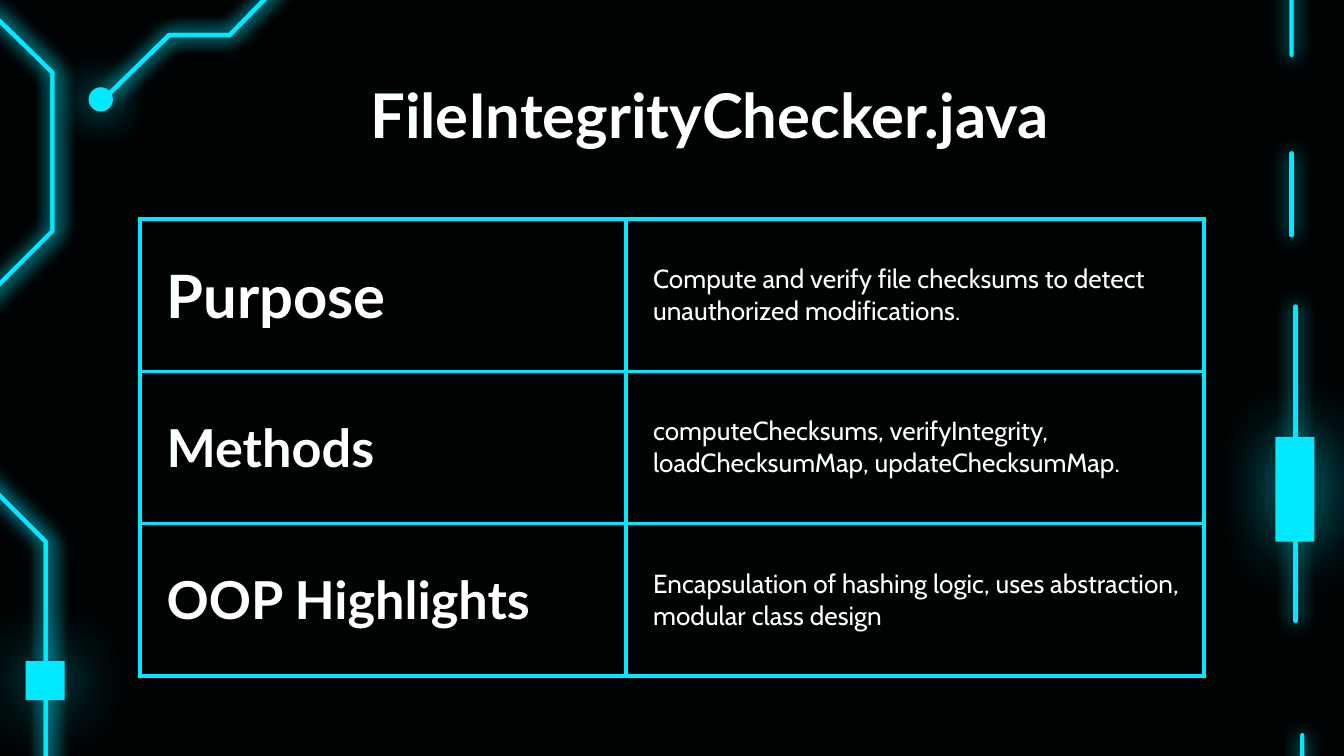
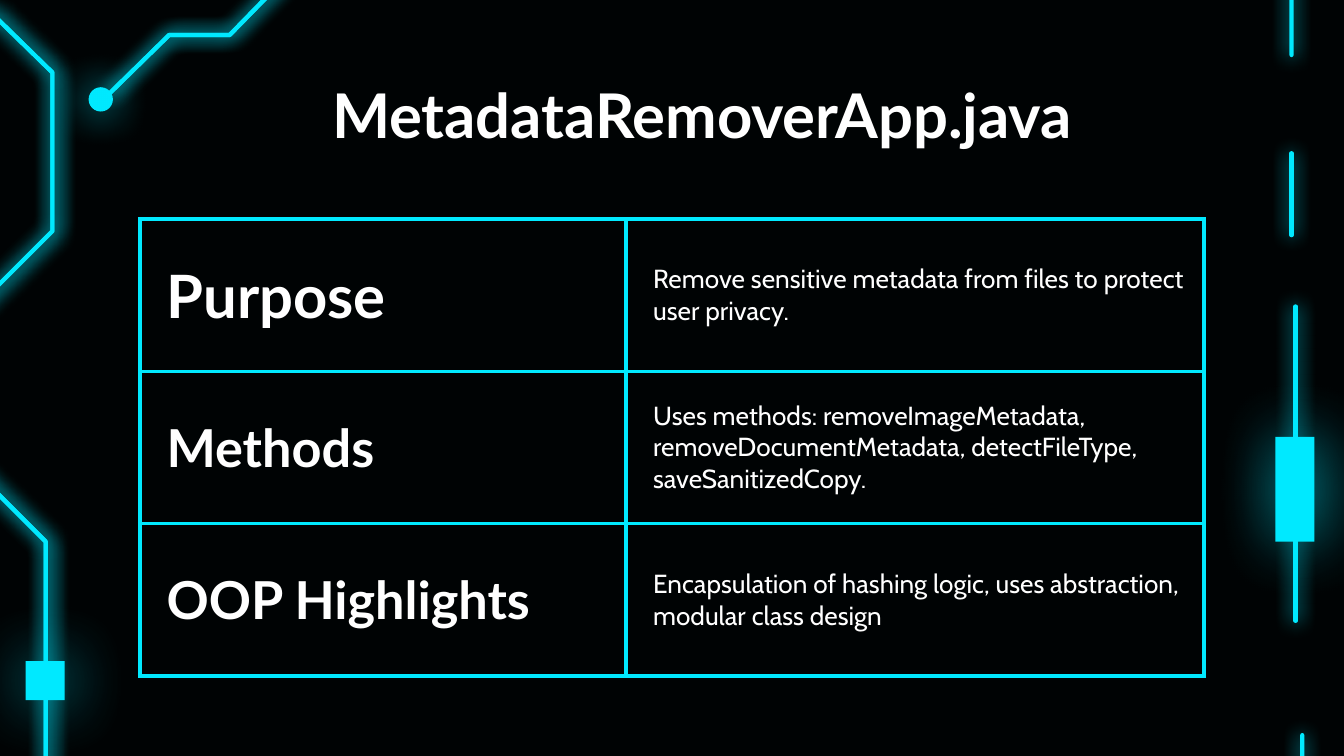
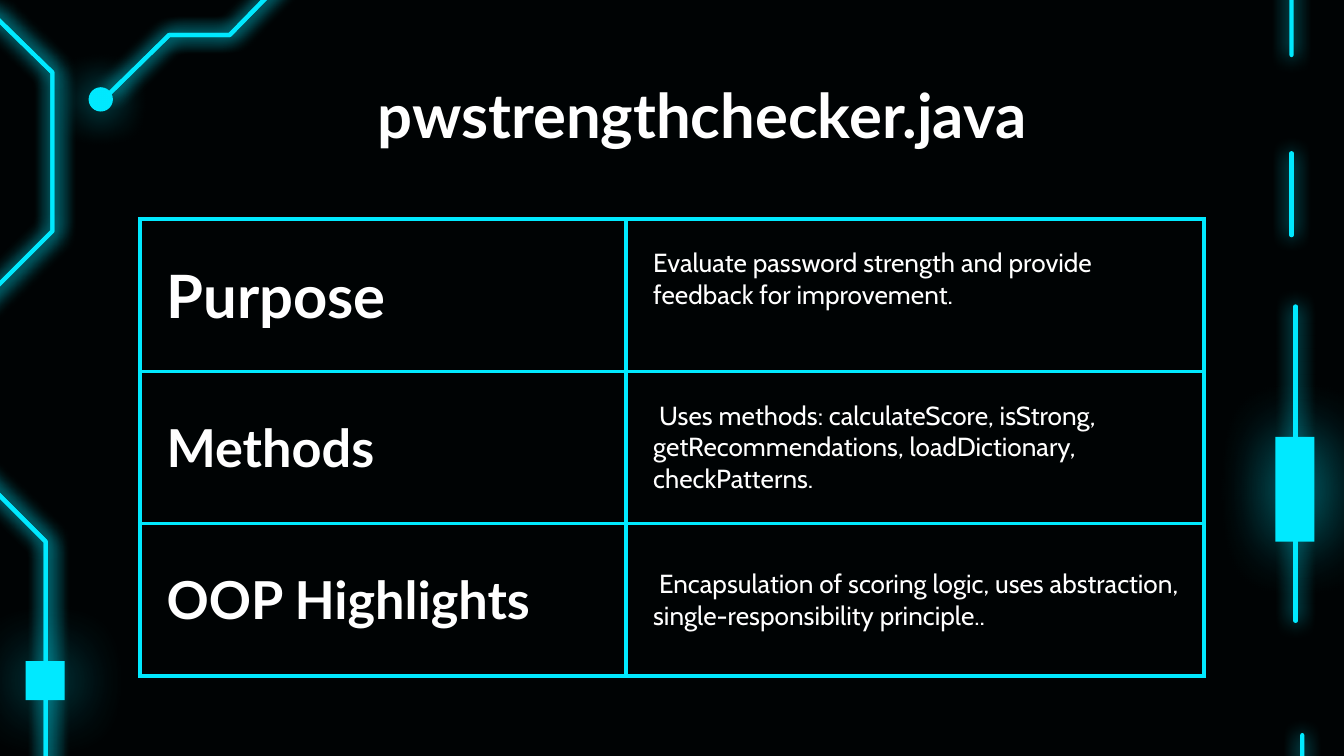
import pptx
import pptx.util
import pptx.dml.color
import pptx.enum.shapes
import pptx.enum.text
import pptx.oxml.ns
import lxml.etree

Inches, Pt = pptx.util.Inches, pptx.util.Pt
SHAPE = pptx.enum.shapes.MSO_SHAPE
MIDDLE = pptx.enum.text.MSO_ANCHOR.MIDDLE

# Colours and fonts
BLACK = pptx.dml.color.RGBColor(0x00, 0x03, 0x04)
CYAN = pptx.dml.color.RGBColor(0x00, 0xE9, 0xFF)
WHITE = pptx.dml.color.RGBColor(0xFF, 0xFF, 0xFF)
HEAD_FONT, BODY_FONT = "Lato", "Cabin"

# Content: row labels with their sizes, then title and descriptions per slide
LABELS = [("Purpose", 32), ("Methods", 28), ("OOP Highlights", 28)]
SLIDES = [
    (" FileIntegrityChecker.java", [
        "Compute and verify file checksums to detect unauthorized modifications.",
        "computeChecksums, verifyIntegrity, loadChecksumMap, updateChecksumMap.",
        "Encapsulation of hashing logic, uses abstraction, modular class design",
    ]),
    ("MetadataRemoverApp.java", [
        "Remove sensitive metadata from files to protect user privacy.",
        "Uses methods: removeImageMetadata, removeDocumentMetadata, "
        "detectFileType, saveSanitizedCopy.",
        "Encapsulation of hashing logic, uses abstraction, modular class design",
    ]),
    ("pwstrengthchecker.java", [
        "Evaluate password strength and provide feedback for improvement.",
        " Uses methods: calculateScore, isStrong, getRecommendations, "
        "loadDictionary, checkPatterns.",
        " Encapsulation of scoring logic, uses abstraction, "
        "single-responsibility principle..",
    ]),
]
RAISED = {(2, 0): 0.34}  # (slide, row): deeper bottom margin lifts the text

# Circuit traces, in inches
RIGHT_LOOP = [(9.61, 0.41), (9.61, -0.2), (9.97, -0.57), (9.97, -1.06), (9.55, -1.49),
              (9.55, -2.15), (10.51, -2.15), (10.84, -1.82), (11.81, -1.82),
              (12.13, -2.14), (13.42, -2.14), (13.42, 3.29), (13.11, 3.59),
              (13.11, 4.8), (13.41, 5.09), (13.41, 6.75)]
RIGHT_LONG = [(9.64, 4.62), (9.64, 2.28)]
RIGHT_SHORT = [(9.61, 1.75), (9.61, 1.14)]
RIGHT_TAIL = [(10.1, 11.01), (9.63, 10.54), (9.63, 8.34), (10.03, 7.95),
              (10.03, 7.15), (9.69, 6.82), (9.69, 5.47)]
LEFT_LOOP = [(-3.49, 2.79), (-3.49, 3.41), (-3.11, 3.79), (-3.11, 4.82), (-3.49, 5.2),
             (-3.49, 12.34), (-1.04, 12.34), (0.34, 10.99), (0.34, 4.03),
             (-0.24, 3.45), (-0.24, 2.35), (0.39, 1.72), (0.39, 0.54), (-0.05, 0.11),
             (-0.45, 0.11), (-0.69, 0.35), (-1.2, 0.35), (-1.48, 0.07), (-1.82, 0.07)]
TOP_BRANCH = [(2.72, -1.24), (2.08, -0.61), (2.14, -0.18), (1.71, 0.26),
              (1.26, 0.26), (0.81, 0.7)]


def sub(parent, tag, **attrs):
    return lxml.etree.SubElement(parent, pptx.oxml.ns.qn(tag), **attrs)


def add_glow(sp, blur, dist=0, alpha=100):
    effects = sub(sp.element.spPr, "a:effectLst")
    glow = sub(effects, "a:outerShdw", blurRad=str(Pt(blur)), dist=str(Pt(dist)),
               dir="0", algn="bl", rotWithShape="0")
    clr = sub(glow, "a:srgbClr", val=str(CYAN))
    sub(clr, "a:alpha", val=str(alpha * 1000))


def add_trace(shapes, points, dist=0):
    pts = [(Inches(x), Inches(y)) for x, y in points]
    if len(pts) == 2:
        sp = shapes.add_connector(pptx.enum.shapes.MSO_CONNECTOR.STRAIGHT,
                                  *pts[0], *pts[1])
    else:
        builder = shapes.build_freeform(*pts[0])
        builder.add_line_segments(pts[1:], close=False)
        sp = builder.convert_to_shape()
        sp.fill.background()
    sp.line.color.rgb = CYAN
    sp.line.width = Pt(2.25)
    sp.element.spPr.find(pptx.oxml.ns.qn("a:ln")).set("cap", "rnd")
    add_glow(sp, 10.1, dist)
    return sp


def add_node(shapes, kind, box, blur, dist=0, alpha=100, outline=None):
    sp = shapes.add_shape(kind, *map(Inches, box))
    sp.fill.solid()
    sp.fill.fore_color.rgb = CYAN
    if outline:
        sp.line.color.rgb = CYAN
        sp.line.width = Pt(outline)
    else:
        sp.line.fill.background()
    add_glow(sp, blur, dist, alpha)
    return sp


def decorate(layout, shapes):
    """Draw the circuit with the given shapes, then hand it to the layout."""
    layout.background.fill.solid()
    layout.background.fill.fore_color.rgb = BLACK
    parts = [add_trace(shapes, trace)
             for trace in (RIGHT_LOOP, RIGHT_LONG, RIGHT_SHORT, RIGHT_TAIL)]
    parts.append(add_node(shapes, SHAPE.RECTANGLE, (9.49, 3.25, 0.29, 0.78), 36, 1.5, 70))
    parts += [add_trace(shapes, LEFT_LOOP, dist) for dist in (1.5, 0)]
    parts.append(add_node(shapes, SHAPE.RECTANGLE, (0.19, 4.92, 0.29, 0.29), 36, 1.5, 70))
    parts.append(add_trace(shapes, TOP_BRANCH, 1.5))
    parts.append(add_node(shapes, SHAPE.OVAL, (0.67, 0.66, 0.16, 0.16), 22.5, outline=1.5))
    parts.append(add_trace(shapes, TOP_BRANCH))
    for sp in parts:
        layout.element.cSld.spTree.append(sp.element)


def add_run(p, text, font, size, bold):
    r = p.add_run()
    r.text = text
    r.font.name, r.font.size, r.font.bold = font, Pt(size), bold
    r.font.color.rgb = WHITE


def set_title(sp, text):
    sp.left, sp.top, sp.width, sp.height = map(Inches, (0.78, 0.59, 8.89, 0.52))
    tf = sp.text_frame
    tf.word_wrap = True
    tf.auto_size = pptx.enum.text.MSO_AUTO_SIZE.NONE
    tf.vertical_anchor = MIDDLE
    tf.margin_left = tf.margin_right = tf.margin_top = tf.margin_bottom = Inches(0.1)
    p = tf.paragraphs[0]
    p.alignment = pptx.enum.text.PP_ALIGN.CENTER
    add_run(p, text, HEAD_FONT, 33, True)


def fill_cell(cell, text, font, size, bold, bottom=0.1):
    cell.vertical_anchor = MIDDLE
    cell.margin_left = Inches(0.2)
    cell.margin_right = cell.margin_top = Inches(0.1)
    cell.margin_bottom = Inches(bottom)
    add_run(cell.text_frame.paragraphs[0], text, font, size, bold)
    tcPr = cell._tc.get_or_add_tcPr()
    for side in "LRTB":
        ln = sub(tcPr, "a:ln" + side, w=str(Pt(2.25)))
        sub(sub(ln, "a:solidFill"), "a:srgbClr", val=str(CYAN))
    cell.fill.background()


def add_summary(slide, index, descriptions):
    rows = len(LABELS)
    table = slide.shapes.add_table(rows, 2, Inches(1.04), Inches(1.63),
                                   Inches(7.92), Inches(3.4)).table
    table.first_row = table.horz_banding = False
    table.columns[0].width, table.columns[1].width = Inches(3.62), Inches(4.3)
    for i, ((label, size), text) in enumerate(zip(LABELS, descriptions)):
        fill_cell(table.cell(i, 0), label, HEAD_FONT, size, True)
        fill_cell(table.cell(i, 1), text, BODY_FONT, 14, False,
                  RAISED.get((index, i), 0.1))


def main():
    prs = pptx.Presentation()
    prs.slide_width = Inches(10)
    prs.slide_height = prs.slide_width * 9 // 16
    layout = prs.slide_layouts[5]
    for index, (title, descriptions) in enumerate(SLIDES):
        slide = prs.slides.add_slide(layout)
        if index == 0:
            decorate(layout, slide.shapes)
        set_title(slide.shapes.title, title)
        add_summary(slide, index, descriptions)
    prs.save("out.pptx")


if __name__ == "__main__":
    main()
